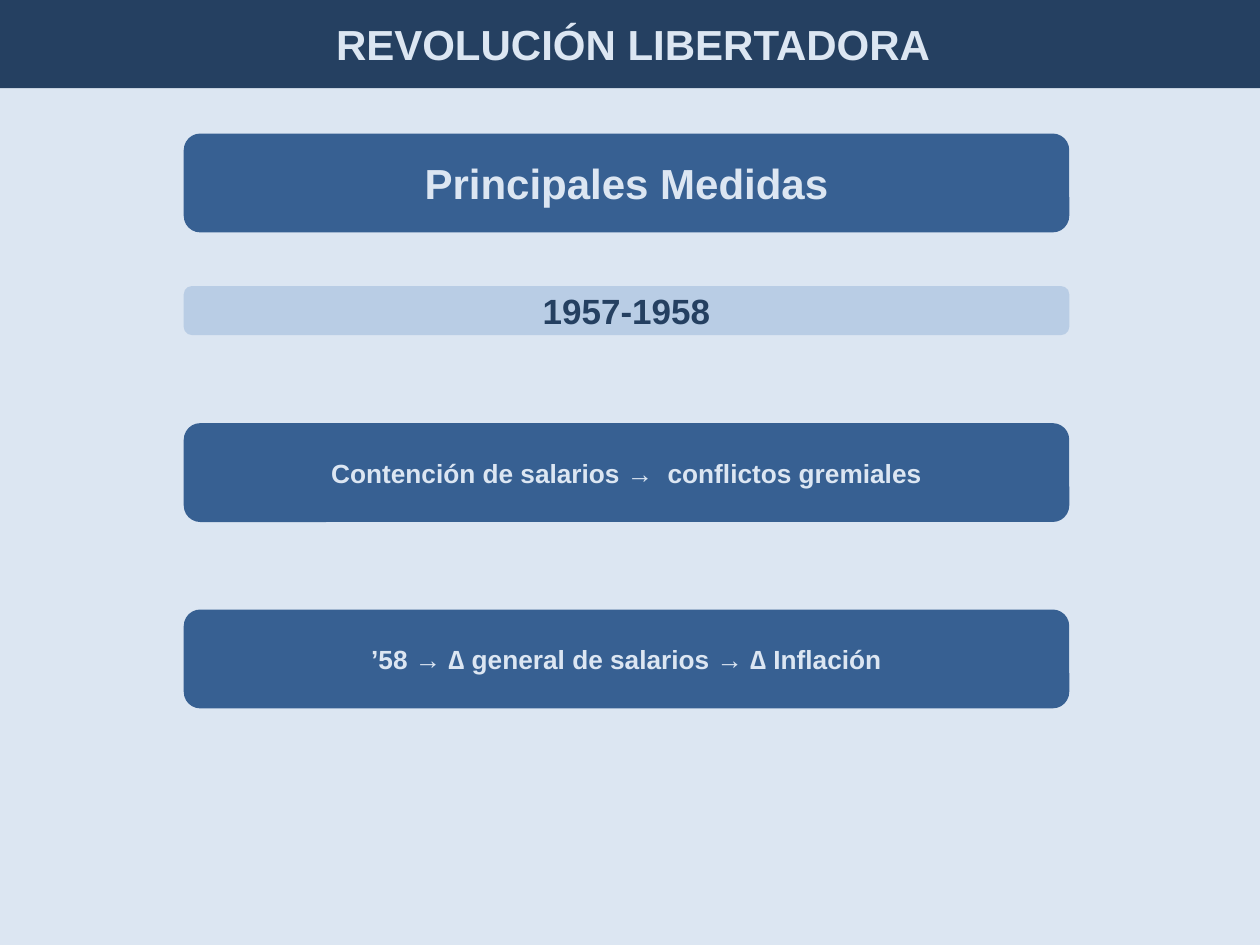
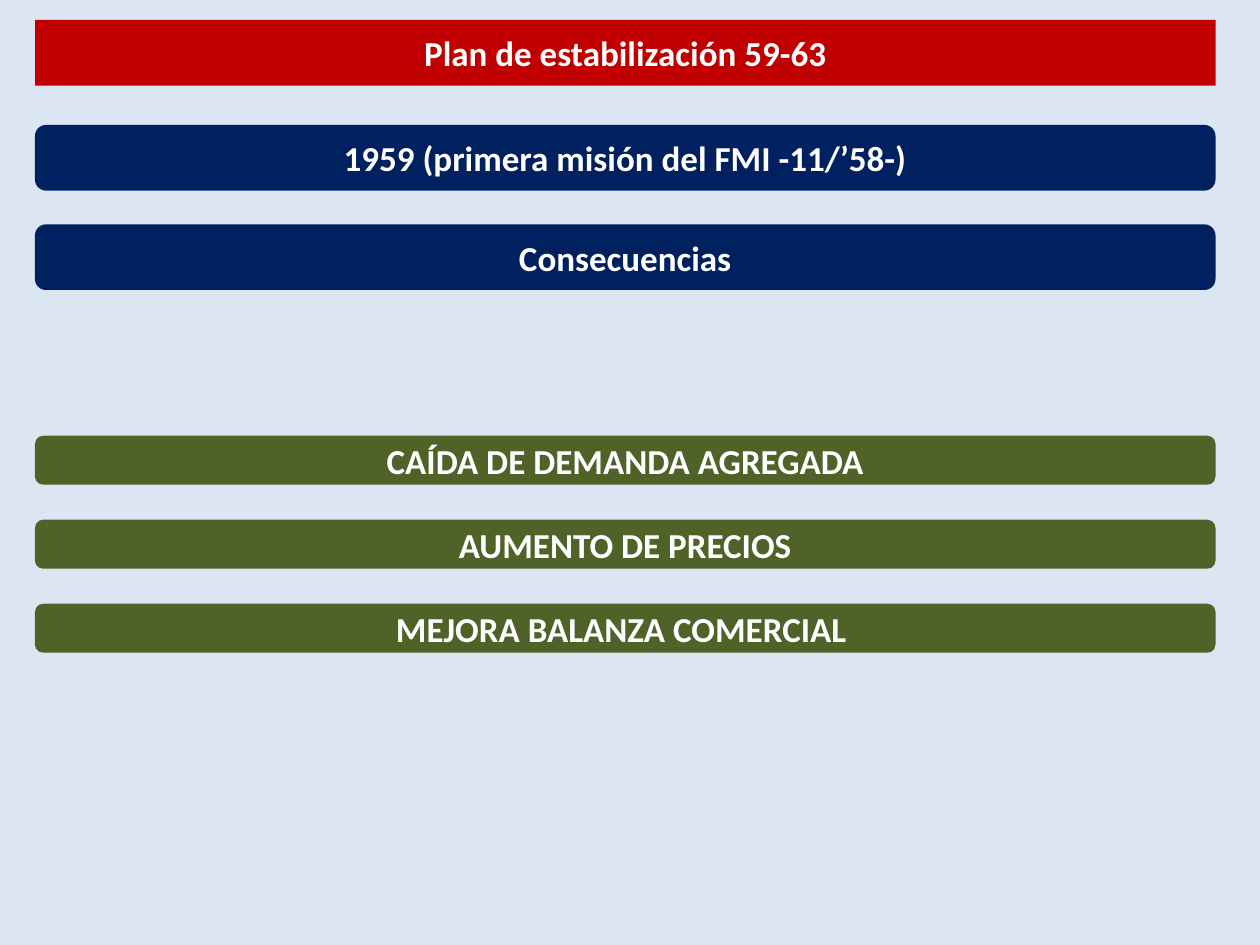
from lxml.etree import SubElement
from pptx import Presentation
from pptx.dml.color import RGBColor
from pptx.enum.shapes import MSO_SHAPE as Shape
from pptx.enum.text import MSO_ANCHOR as Anchor, MSO_AUTO_SIZE as AutoSize, PP_ALIGN as Align
from pptx.oxml.ns import qn
from pptx.util import Pt

PALE = RGBColor(0xDC, 0xE6, 0xF2)
LIGHT = RGBColor(0xB9, 0xCD, 0xE5)
BLUE = RGBColor(0x37, 0x60, 0x92)
DARK = RGBColor(0x25, 0x40, 0x61)
RED = RGBColor(0xC0, 0x00, 0x00)
NAVY = RGBColor(0x00, 0x20, 0x60)
GREEN = RGBColor(0x4F, 0x62, 0x28)
WHITE = RGBColor(0xFF, 0xFF, 0xFF)

TALL, MEDIUM, LOW = 56.5, 37.5, 28

SLIDES = [
    {
        "title": "REVOLUCIÓN LIBERTADORA",
        "title_box": (0, 0, 723.6, 50.4),
        "title_style": (DARK, PALE, 24),
        "rounded": False,
        "font": "Arial",
        "left": 105,
        "width": 506,
        "groups": [
            (76.3, 0, TALL, (BLUE, PALE, 24), ["Principales Medidas"]),
            (163.5, 0, LOW, (LIGHT, DARK, 20), ["1957-1958"]),
            (241.8, 106.5, TALL, (BLUE, PALE, 15), [
                "Contención de salarios →  conflictos gremiales",
                "’58 → ∆ general de salarios → ∆ Inflación",
            ]),
        ],
    },
    {
        "title": "Plan de estabilización 59-63",
        "title_box": (20, 11.4, 674.6, MEDIUM),
        "title_style": (RED, WHITE, 20),
        "rounded": True,
        "font": "Calibri",
        "left": 20,
        "width": 674.6,
        "groups": [
            (71.4, 56.8, MEDIUM, (NAVY, WHITE, 20), [
                "1959 (primera misión del FMI -11/’58-)",
                "Consecuencias",
            ]),
            (249, 48, LOW, (GREEN, WHITE, 20), [
                "CAÍDA DE DEMANDA AGREGADA",
                "AUMENTO DE PRECIOS",
                "MEJORA BALANZA COMERCIAL ",
            ]),
        ],
    },
]


def style_bar(sp, text, style, font):
    """Fill a bar and write its centred bold text."""
    fill, color, size = style
    sp.fill.solid()
    sp.fill.fore_color.rgb = fill
    sp.line.fill.background()
    tf = sp.text_frame
    tf.text = text
    tf.word_wrap = True
    tf.auto_size = AutoSize.NONE
    tf.vertical_anchor = Anchor.MIDDLE
    p = tf.paragraphs[0]
    p.alignment = Align.CENTER
    r = p.runs[0]
    r.font.name = font
    r.font.size = Pt(size)
    r.font.bold = True
    r.font.color.rgb = color


def add_title(s, data):
    """Turn the title placeholder into the top bar."""
    sp = s.shapes.title
    sp.left, sp.top, sp.width, sp.height = map(Pt, data["title_box"])
    if data["rounded"]:
        geom = SubElement(sp.element.spPr, qn("a:prstGeom"), prst="roundRect")
        SubElement(geom, qn("a:avLst"))
    style_bar(sp, data["title"], data["title_style"], data["font"])


def add_bars(s, data):
    """Stack each group of bars at its own equal step."""
    for top, step, height, style, texts in data["groups"]:
        for i, text in enumerate(texts):
            box = data["left"], top + i * step, data["width"], height
            sp = s.shapes.add_shape(Shape.ROUNDED_RECTANGLE, *map(Pt, box))
            sp.shadow.inherit = False
            style_bar(sp, text, style, data["font"])


def main():
    """Build and save the presentation."""
    prs = Presentation()
    prs.slide_width, prs.slide_height = Pt(720), Pt(540)
    background = prs.slide_master.background.fill
    background.solid()
    background.fore_color.rgb = PALE
    for data in SLIDES:
        s = prs.slides.add_slide(prs.slide_layouts[5])
        add_title(s, data)
        add_bars(s, data)
    prs.save("out.pptx")


if __name__ == "__main__":
    main()
